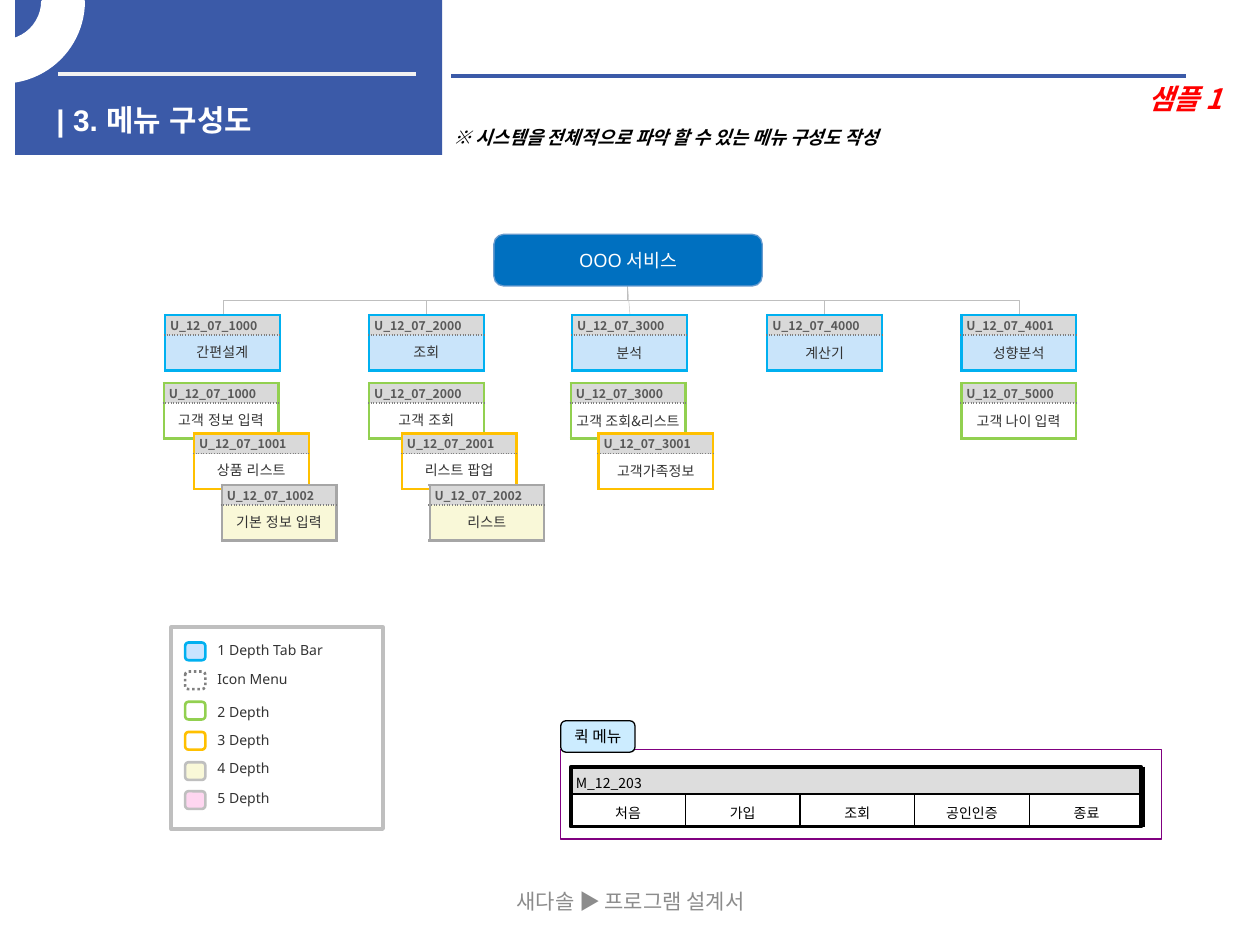
from lxml.etree import SubElement
from pptx import Presentation
from pptx.dml.color import RGBColor
from pptx.enum.dml import MSO_LINE
from pptx.enum.shapes import MSO_CONNECTOR as Connector, MSO_SHAPE as Preset
from pptx.enum.text import MSO_ANCHOR as Anchor, MSO_AUTO_SIZE as AutoSize, PP_ALIGN as Align
from pptx.oxml import parse_xml
from pptx.oxml.ns import nsdecls, qn
from pptx.util import Inches, Pt

GOTHIC = "Noto Sans CJK KR"
NO_STYLE = "{2D5ABB26-0587-4C30-8999-92F81FD0307C}"
ROOT_X, ROOT_BOTTOM, CARD_TOP = 4.98, 2.26, 2.5
CARD_WIDTH, CARD_ROWS = 0.91, (0.16, 0.28)
BRANCH_XS = (1.77, 3.38, 5, 6.54, 8.09)
LEVELS = [
    (2.5, "00B0F0", "C9E4FA", 0.1, [
        (1.31, "U_12_07_1000", "간편설계"),
        (2.93, "U_12_07_2000", "조회"),
        (4.54, "U_12_07_3000", "분석"),
        (6.09, "U_12_07_4000", "계산기"),
        (7.63, "U_12_07_4001", "성향분석")]),
    (3.04, "92D050", "FFFFFF", 0, [
        (1.3, "U_12_07_1000", "고객 정보 입력"),
        (7.63, "U_12_07_5000", "고객 나이 입력"),
        (4.53, "U_12_07_3000", "고객 조회&리스트"),
        (2.93, "U_12_07_2000", "고객 조회")]),
    (3.44, "FFC000", "FFFFFF", 0, [
        (1.54, "U_12_07_1001", "상품 리스트"),
        (3.19, "U_12_07_2001", "리스트 팝업"),
        (4.75, "U_12_07_3001", "고객가족정보")]),
    (3.85, "A6A6A6", "F9F8D8", 0, [
        (3.41, "U_12_07_2002", "리스트"),
        (1.76, "U_12_07_1002", "기본 정보 입력")]),
]
LEGEND = [
    ("1 Depth Tab Bar", 5.1, 5.1, "C9E4FF", "00B0F0"),
    ("Icon Menu", 5.33, 5.33, "FFFFFF", "808080"),
    ("2 Depth", 5.57, 5.59, "FFFFFF", "92D050"),
    ("3 Depth", 5.81, 5.82, "FFFFFF", "FFC000"),
    ("4 Depth", 6.05, 6.04, "F9F8D8", "BFBFBF"),
    ("5 Depth", 6.28, 6.28, "FED6F0", "BFBFBF"),
]


def color(value):
    return RGBColor.from_string(value)


def inches(values):
    return [Inches(value) for value in values]


def write(frame, text, size, font, ink, align=Align.LEFT, bold=False, italic=False, hanging=0):
    frame.text = text
    paragraph = frame.paragraphs[0]
    paragraph.alignment = align
    if hanging:
        properties = paragraph._p.get_or_add_pPr()
        properties.set("marL", str(Inches(hanging)))
        properties.set("indent", str(-Inches(hanging)))
    for run in paragraph.runs:
        run.font.size = Pt(size)
        run.font.bold = bold
        run.font.italic = italic
        run.font.color.rgb = color(ink)
        run.font.name = font
        SubElement(run._r.get_or_add_rPr(), qn("a:ea")).set("typeface", font)
    return paragraph


def add_text(slide, box, text, *style, grow=False, anchor=Anchor.TOP, **options):
    frame = slide.shapes.add_textbox(*inches(box)).text_frame
    frame.word_wrap = True
    frame.vertical_anchor = anchor
    if grow:
        frame.auto_size = AutoSize.SHAPE_TO_FIT_TEXT
    write(frame, text, *style, **options)


def add_shape(shapes, preset, box, fill=None, line=None, width=0.75, adjustments=()):
    shape = shapes.add_shape(preset, *inches(box))
    shape.shadow.inherit = False
    if fill:
        shape.fill.solid()
        shape.fill.fore_color.rgb = color(fill)
    else:
        shape.fill.background()
    if line:
        shape.line.color.rgb = color(line)
        shape.line.width = Pt(width)
    else:
        shape.line.fill.background()
    for index, value in enumerate(adjustments):
        shape.adjustments[index] = value
    shape.text_frame.vertical_anchor = Anchor.MIDDLE
    return shape


def add_line(slide, ends, ink, width, kind=Connector.STRAIGHT):
    connector = slide.shapes.add_connector(kind, *inches(ends))
    connector.line.color.rgb = color(ink)
    connector.line.width = Pt(width)
    SubElement(connector._element.spPr, qn("a:effectLst"))
    return connector


def add_branch(slide, child_x):
    if abs(child_x - ROOT_X) < 0.1:
        add_line(slide, (ROOT_X, ROOT_BOTTOM, child_x, CARD_TOP), "BFBFBF", 0.25)
        return
    drop, reach = CARD_TOP - ROOT_BOTTOM, abs(child_x - ROOT_X)
    left = (child_x + ROOT_X - drop) / 2
    top = (CARD_TOP + ROOT_BOTTOM - reach) / 2
    connector = add_line(slide, (left, top, left + drop, top + reach), "BFBFBF", 0.25, Connector.ELBOW)
    frame = connector._element.spPr.xfrm
    if child_x < ROOT_X:
        frame.set("rot", str(90 * 60000))
    else:
        frame.set("rot", str(270 * 60000))
        frame.set("flipV", "1")


def add_table(slide, left, top, widths, heights):
    size = inches((left, top, sum(widths), sum(heights)))
    table = slide.shapes.add_table(len(heights), len(widths), *size).table
    table.first_row = table.horz_banding = False
    table._tbl.tblPr.find(qn("a:tableStyleId")).text = NO_STYLE
    for column, width in zip(table.columns, widths):
        column.width = Inches(width)
    for row, height in zip(table.rows, heights):
        row.height = Inches(height)
    return table


def format_cell(cell, margins, fill, borders, anchor=Anchor.TOP):
    cell.margin_left, cell.margin_top, cell.margin_right, cell.margin_bottom = inches(margins)
    cell.vertical_anchor = anchor
    if fill:
        cell.fill.solid()
        cell.fill.fore_color.rgb = color(fill)
    else:
        cell.fill.background()
    properties = cell._tc.get_or_add_tcPr()
    for index, (side, (ink, width, dash)) in enumerate(zip("LRTB", borders)):
        properties.insert(index, parse_xml(
            f'<a:ln{side} {nsdecls("a")} w="{Pt(width)}"><a:solidFill><a:srgbClr val="{ink}"/>'
            f'</a:solidFill><a:prstDash val="{dash}"/></a:ln{side}>'))


def add_card(slide, left, top, edge, fill, side_margin, code, label):
    table = add_table(slide, left, top, [CARD_WIDTH], CARD_ROWS)
    head, body = table.cell(0, 0), table.cell(1, 0)
    solid, dotted = (edge, 1.5, "solid"), ("7F7F7F", 1, "sysDot")
    format_cell(head, (0.04, 0, 0.1, 0), "D9D9D9", (solid, solid, solid, dotted), Anchor.MIDDLE)
    format_cell(body, (side_margin, 0.05, side_margin, 0.05), fill, (solid, solid, dotted, solid), Anchor.MIDDLE)
    write(head.text_frame, code, 7, GOTHIC, "595959", bold=True)
    font = "Arial" if left < 4.5 else GOTHIC
    write(body.text_frame, label, 8, font, "333333", Align.CENTER).line_spacing = 0.9


def add_header(slide):
    add_shape(slide.shapes, Preset.RECTANGLE, (0.12, 0, 3.39, 1.23), "3B5AA8")
    add_line(slide, (0.46, 0.59, 3.3, 0.59), "F2F2F2", 2.25)
    add_line(slide, (3.58, 0.6, 9.41, 0.6), "3B5AA8", 2.25)
    add_text(slide, (0.35, 0.76, 3.07, 0.32), "| 3. 메뉴 구성도", 17, "Arial", "FFFFFF", bold=True)
    ring = add_shape(slide.shapes, Preset.BLOCK_ARC, (-0.63, -0.63, 1.29, 1.28), "FFFFFF", "FFFFFF", 2,
                     (161.59 * 0.6, 0, 0.25))
    ring._element.spPr.xfrm.set("flipV", "1")
    add_text(slide, (3.5, 0.95, 4.33, 0.29), "※ 시스템을 전체적으로 파악 할 수 있는 메뉴 구성도 작성",
             10.5, GOTHIC, "000000", grow=True, bold=True, italic=True, hanging=0.29)


def add_quick_menu(slide):
    add_shape(slide.shapes, Preset.RECTANGLE, (4.45, 5.95, 4.77, 0.71), None, "800080")
    tab = add_shape(slide.shapes, Preset.ROUNDED_RECTANGLE, (4.45, 5.72, 0.59, 0.25), "CCECFF", "000000",
                    adjustments=[0.17])
    tab.text_frame.word_wrap = False
    write(tab.text_frame, "퀵 메뉴", 9, GOTHIC, "000000", Align.CENTER)
    items = ("처음", "가입", "조회", "공인인증", "종료")
    table = add_table(slide, 4.53, 6.09, [0.91] * len(items), (0.21, 0.25))
    borders = [("000000", 1, "solid")] * 4
    for cell in table.rows[0].cells:
        format_cell(cell, [0.04] * 4, "DDDDDD", borders)
    table.cell(0, 0).merge(table.cell(0, len(items) - 1))
    write(table.cell(0, 0).text_frame, "M_12_203", 8, GOTHIC, "000000").space_before = Pt(1.6)
    for cell, item in zip(table.rows[1].cells, items):
        format_cell(cell, (0.04, 0.06, 0.04, 0.06), None, borders)
        write(cell.text_frame, item, 8, GOTHIC, "000000", Align.CENTER).space_before = Pt(1.6)
    add_shape(slide.shapes, Preset.RECTANGLE, (4.53, 6.09, 4.53, 0.47), None, "000000", 2.25)


def add_menu_tree(slide):
    for child_x in BRANCH_XS:
        add_branch(slide, child_x)
    root = add_shape(slide.shapes, Preset.ROUNDED_RECTANGLE, (3.92, 1.86, 2.13, 0.41), "0070C0", "689BCE",
                     adjustments=[0.19])
    write(root.text_frame, "OOO 서비스", 10.5, "Noto Sans", "FFFFFF", Align.CENTER, hanging=0.2)
    for top, edge, fill, side_margin, cards in LEVELS:
        for left, code, label in cards:
            add_card(slide, left, top, edge, fill, side_margin, code, label)


def add_legend(slide):
    shapes = slide.shapes.add_group_shape().shapes
    add_shape(shapes, Preset.RECTANGLE, (1.36, 4.98, 1.68, 1.6), "FFFFFF", "BFBFBF", 2.24)
    for name, swatch_top, label_top, fill, edge in LEGEND:
        swatch = add_shape(shapes, Preset.ROUNDED_RECTANGLE, (1.47, swatch_top, 0.16, 0.14), fill, edge, 1.5, [0.19])
        if name == "Icon Menu":
            swatch.line.dash_style = MSO_LINE.ROUND_DOT
        label = add_shape(shapes, Preset.ROUNDED_RECTANGLE, (1.62, label_top, 0.84, 0.13), adjustments=[0.19])
        label.text_frame.word_wrap = False
        write(label.text_frame, name, 8, "Noto Sans", "333333").line_spacing = 0.9


def main():
    presentation = Presentation()
    presentation.slide_width, presentation.slide_height = Inches(10), Inches(7.5)
    slide = presentation.slides.add_slide(presentation.slide_layouts[6])
    add_header(slide)
    add_text(slide, (3.42, 6.95, 3.17, 0.4), "새다솔 ▶ 프로그램 설계서", 12, GOTHIC, "8C8C8C",
             anchor=Anchor.MIDDLE, align=Align.CENTER)
    add_quick_menu(slide)
    add_menu_tree(slide)
    add_legend(slide)
    add_text(slide, (4.21, 0.6, 5.59, 0.37), "샘플 1", 16, GOTHIC, "FF0000", grow=True,
             align=Align.RIGHT, bold=True, italic=True, hanging=0.29)
    presentation.save("out.pptx")


main()
